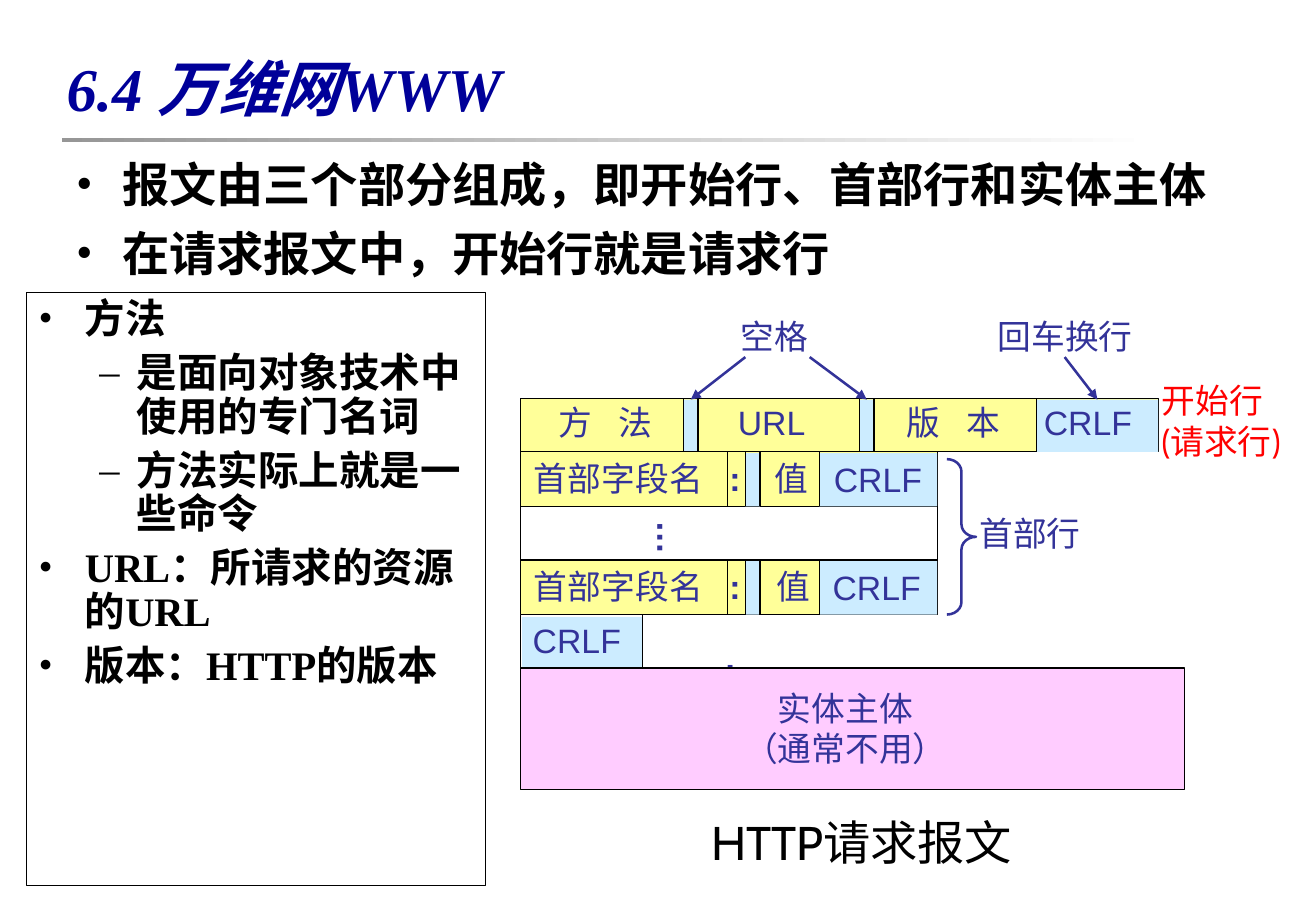
from lxml import etree
from pptx import Presentation
from pptx import util as u
from pptx.dml.color import RGBColor
from pptx.enum import shapes, text
from pptx.oxml.ns import qn

PX = 9144  # EMU; 100 px to the inch
COLORS = {
    "black": "000000", "title": "000099", "ink": "333399", "red": "FF0000",
    "gray": "969696", "white": "FFFFFF",
    "yellow": "FFFF99", "blue": "CCECFF", "pink": "FFCCFF",
}
SERIF, SANS, CAPTION = "Times New Roman", "Arial", "Cabin"
BULLETS = [("•", 38, -38), ("–", 81, -31)]  # character, margin, indent per level


def rgb(name):
    return RGBColor.from_string(COLORS[name])


class Board:
    def __init__(self, slide):
        self.slide = slide

    def shape(self, preset, x, y, w, h, fill=None, line=None, line_pt=0.75):
        box = self.slide.shapes.add_shape(preset, x * PX, y * PX, w * PX, h * PX)
        box.shadow.inherit = False
        if fill:
            box.fill.solid()
            box.fill.fore_color.rgb = rgb(fill)
        else:
            box.fill.background()
        if line:
            box.line.color.rgb = rgb(line)
            box.line.width = u.Pt(line_pt)
        else:
            box.line.fill.background()
        return box

    def rect(self, x, y, w, h, fill=None, line=None):
        return self.shape(shapes.MSO_SHAPE.RECTANGLE, x, y, w, h, fill, line)

    def fade(self, x, y, w, h, start, end):
        """Rectangle with a left-to-right gradient."""
        bar = self.rect(x, y, w, h)
        bar.fill.gradient()
        bar.fill.gradient_angle = 0
        for stop, color in zip(bar.fill.gradient_stops, (start, end)):
            stop.color.rgb = rgb(color)

    def line(self, x1, y1, x2, y2, color="black", width=0.75):
        rule = self.slide.shapes.add_connector(
            shapes.MSO_CONNECTOR.STRAIGHT, x1 * PX, y1 * PX, x2 * PX, y2 * PX)
        rule.line.color.rgb = rgb(color)
        rule.line.width = u.Pt(width)
        etree.SubElement(rule._element.spPr, qn("a:effectLst"))
        return rule

    def arrow(self, x, y, target):
        """Arrow from a point to the top middle of the target cell."""
        pointer = self.line(x, y, x, y, "ink", 1.5)
        pointer.end_connect(target, 0)
        etree.SubElement(pointer.line._get_or_add_ln(), qn("a:tailEnd"), type="triangle")

    def verticals(self, xs, top, bottom):
        for x in xs:
            self.line(x, top, x, bottom)

    def style(self, paragraph, size, font, color, bold=False, italic=False):
        for run in paragraph.runs:
            run.font.size = u.Pt(size)
            run.font.name = font
            run.font.color.rgb = rgb(color)
            run.font.bold = bold
            run.font.italic = italic

    def label(self, x, y, w, h, words, size=20, font=SANS, color="ink", bold=False,
              italic=False, align=text.PP_ALIGN.LEFT, spread=0):
        """Text of fixed width; spread is extra letter spacing in 1/100 pt."""
        box = self.slide.shapes.add_textbox(x * PX, y * PX, w * PX, h * PX)
        frame = box.text_frame
        frame.text = words
        frame.word_wrap = True
        frame.auto_size = text.MSO_AUTO_SIZE.NONE
        if align == text.PP_ALIGN.LEFT:
            frame.margin_right = 0
        for paragraph in frame.paragraphs:
            paragraph.alignment = align
            self.style(paragraph, size, font, color, bold, italic)
            if spread:
                for run in paragraph.runs:
                    run.font._element.set("spc", str(spread))
        return box

    def bullets(self, box, items, size, before, spacing=1.0):
        """Fill a box with (level, words) items."""
        frame = box.text_frame
        frame.word_wrap = True
        frame.vertical_anchor = text.MSO_ANCHOR.TOP
        frame.text = "\n".join(words for _, words in items)
        for i, (paragraph, (level, _)) in enumerate(zip(frame.paragraphs, items)):
            mark, margin, indent = BULLETS[level]
            paragraph.level = level
            paragraph.alignment = text.PP_ALIGN.LEFT
            paragraph.line_spacing = spacing
            paragraph.space_before = u.Pt(before if i else 0)
            props = paragraph._p.get_or_add_pPr()
            props.set("marL", str(margin * PX))
            props.set("indent", str(indent * PX))
            etree.SubElement(props, qn("a:buFont"), typeface=SERIF)
            etree.SubElement(props, qn("a:buChar"), char=mark)
            self.style(paragraph, size, SERIF, "black", bold=True)


def heading(board):
    board.fade(51, 114, 900, 3, "gray", "white")
    title = board.label(45, 28, 984, 87, "6.4 万维网WWW", 36, SERIF, "title", True, True)
    title.text_frame.vertical_anchor = text.MSO_ANCHOR.MIDDLE
    board.bullets(board.rect(53, 123, 987, 142), [
        (0, "报文由三个部分组成，即开始行、首部行和实体主体"),
        (0, "在请求报文中，开始行就是请求行"),
    ], 28, 7)
    board.bullets(board.rect(22, 241, 378, 488, line="black"), [
        (0, "方法"),
        (1, "是面向对象技术中使用的专门名词"),
        (1, "方法实际上就是一些命令"),
        (0, "URL：所请求的资源的URL"),
        (0, "版本：HTTP的版本"),
    ], 24, 6, 0.9)


def start_line(board):
    left, top, bottom = 429, 328, 372
    board.rect(left, top, 525, bottom - top, "yellow", "black")
    crlf, second_space, first_space = [
        board.rect(x, top + 1, w, 43, "blue") for x, w in ((854, 100), (708, 12), (563, 12))]
    board.verticals((563, 575, 708, 720, 854), top, bottom)
    board.label(450, 326, 113, 44, "方 法", spread=556)
    board.label(598, 326, 100, 44, "URL")
    board.label(737, 326, 113, 44, "版 本", spread=556)
    board.label(850, 326, 104, 44, "CRLF")
    board.label(600, 255, 90, 44, "空格")
    board.label(812, 255, 150, 44, "回车换行")
    board.arrow(667, 294, second_space)
    board.arrow(614, 294, first_space)
    board.arrow(877, 294, crlf)
    board.label(947, 308, 136, 77, "开始行\n(请求行)", font=CAPTION, color="red")


def header_line(board, top, value_x, crlf_x):
    board.rect(429, top, 343, 45, "yellow", "black")
    for x, w in ((675, 97), (614, 12)):
        board.rect(x, top + 1, w, 44, "blue")
    board.verticals((599, 614, 626, 675), top, top + 45)
    board.label(430, top, 165, 44, "首部字段名")
    board.label(591, top, 29, 44, ":", bold=True)
    board.label(value_x, top, 48, 44, "值")
    board.label(crlf_x, top + 1, 100, 44, "CRLF")


def header_lines(board):
    header_line(board, 372, 628, 677)
    header_line(board, 461, 630, 676)
    board.verticals((429, 772), 417, 461)
    board.label(511, 420, 48, 44, "…", bold=True).rotation = 270
    brace = board.shape(shapes.MSO_SHAPE.RIGHT_BRACE, 780, 378, 24, 128,
                        line="ink", line_pt=1.5)
    brace.adjustments[0] = 0.43
    board.label(797, 417, 120, 44, "首部行")


def entity_body(board):
    board.rect(430, 508, 99, 42, "blue")
    board.verticals((429, 529), 506, 550)
    board.label(429, 505, 100, 44, "CRLF")
    board.label(587, 529, 29, 44, ":", bold=True)
    board.rect(429, 550, 547, 100, "pink", "black")
    board.label(593, 561, 207, 77, "实体主体\n（通常不用）", align=text.PP_ALIGN.CENTER)
    board.label(576, 665, 320, 57, "HTTP请求报文", 28, CAPTION, "black")


def main():
    deck = Presentation()
    deck.slide_width, deck.slide_height = 1084 * PX, 750 * PX
    board = Board(deck.slides.add_slide(deck.slide_layouts[6]))
    heading(board)
    start_line(board)
    header_lines(board)
    entity_body(board)
    deck.save("out.pptx")


if __name__ == "__main__":
    main()
